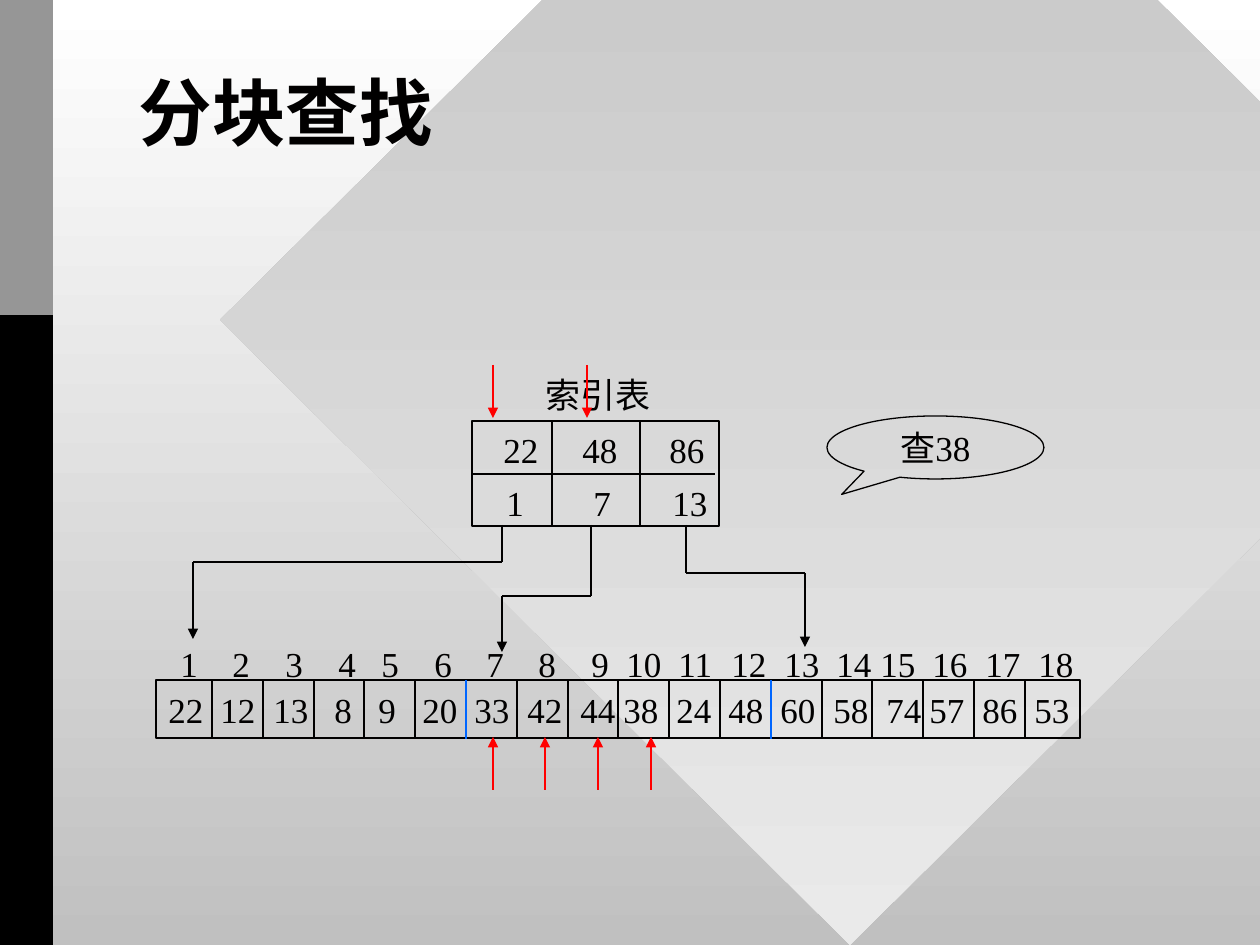
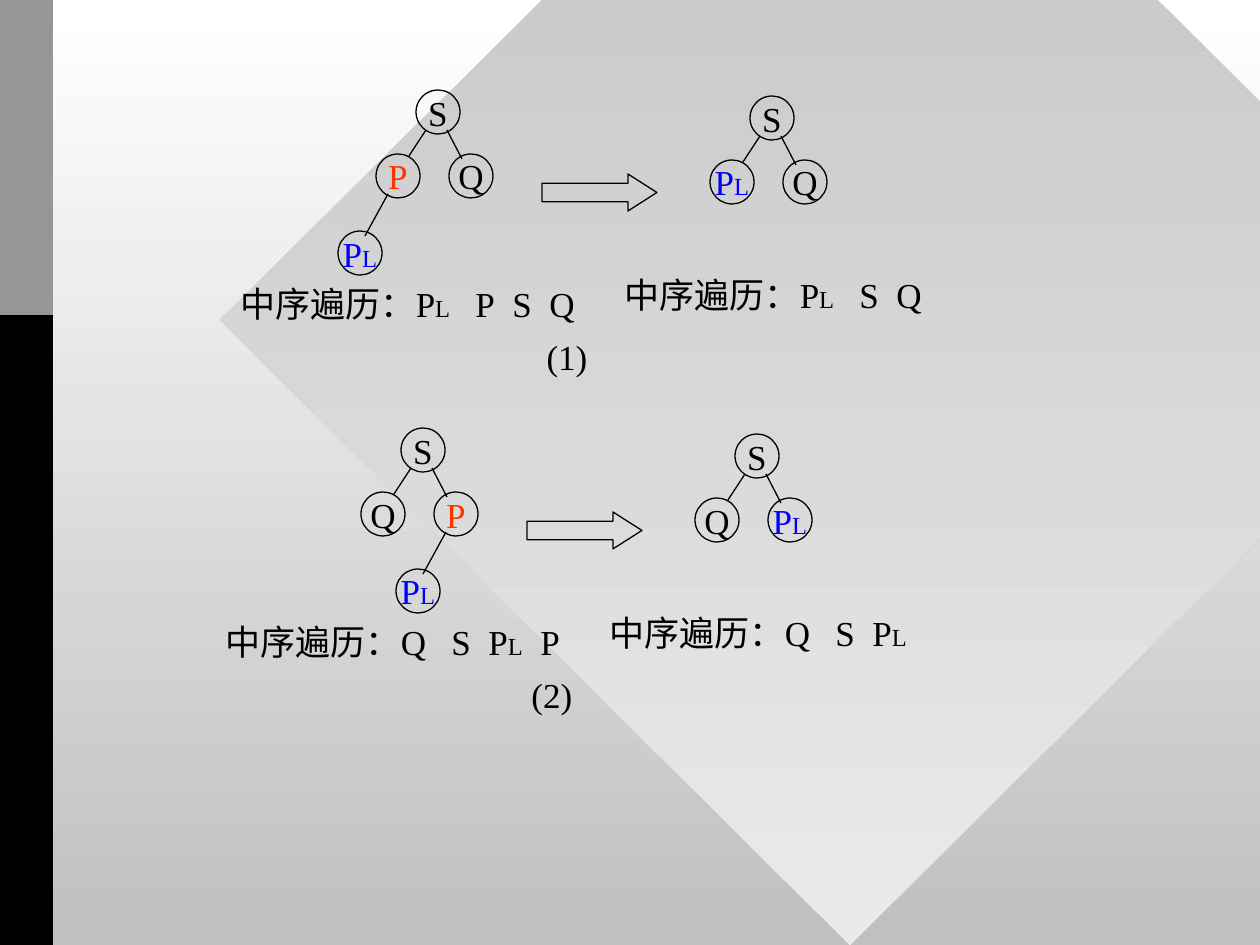
from dataclasses import dataclass
from itertools import accumulate, groupby, pairwise

from lxml.etree import SubElement
from pptx import Presentation
from pptx.dml.color import RGBColor
from pptx.enum.shapes import MSO_CONNECTOR, MSO_SHAPE
from pptx.enum.text import MSO_ANCHOR, PP_ALIGN
from pptx.oxml.ns import qn
from pptx.util import Emu, Pt


@dataclass(frozen=True)
class Theme:
    """Colours, fonts and type sizes of the deck."""
    ink: str = "010000"
    black: str = "000000"
    white: str = "FFFFFF"
    grey: str = "969696"
    silver: str = "C0C0C0"
    pale: str = "EAEAEA"
    red: str = "FF0000"
    orange: str = "FF3300"
    blue: str = "0000FF"
    block_edge: str = "0066FF"
    title_font: str = "Lato"
    body_font: str = "Times New Roman"
    title_size: int = 42
    body_size: int = 20
    small_size: int = 14
    line: float = 0.75


T = Theme()
NODE = 44
NODE_COLORS = {"P": T.orange, "PL": T.blue}
ADVANCE = {"S": 37, "P": 37, "Q": 43, "PL": 52}


def px(n):
    """Turn pixels into EMU."""
    return Emu(round(n * 914400 / 126))


def rgb(value):
    """Turn a hex string into a colour."""
    return RGBColor.from_string(value)


def write(sp, text, size=T.body_size, font=T.body_font, color=T.ink, bold=False,
          align=PP_ALIGN.LEFT, anchor=MSO_ANCHOR.TOP, spacing=None, tabs=()):
    """Fill a shape with one paragraph, setting each letter L small."""
    tf = sp.text_frame
    tf.word_wrap = bool(tabs)
    tf.vertical_anchor = anchor
    if tabs:
        tf.margin_right = 0
    p = tf.paragraphs[0]
    p.alignment = align
    if spacing:
        p.line_spacing = spacing
    if tabs:
        tab_list = SubElement(p._p.get_or_add_pPr(), qn("a:tabLst"))
        for stop in tabs:
            SubElement(tab_list, qn("a:tab"), pos=str(px(stop)), algn="l")
    for small, letters in groupby(text, lambda c: c == "L"):
        r = p.add_run()
        r.text = "".join(letters)
        r.font.size = Pt(T.small_size if small else size)
        r.font.name = font
        r.font.bold = bold
        r.font.color.rgb = rgb(color)


def add_text(s, x, y, w, h, text, **fmt):
    """Add a text box."""
    write(s.shapes.add_textbox(px(x), px(y), px(w), px(h)), text, **fmt)


def add_shape(s, kind, x, y, w, h, adjust=()):
    """Add an outlined shape without fill."""
    sp = s.shapes.add_shape(kind, px(x), px(y), px(w), px(h))
    sp.shadow.inherit = False
    sp.fill.background()
    sp.line.color.rgb = rgb(T.ink)
    sp.line.width = Pt(T.line)
    for i, value in enumerate(adjust):
        sp.adjustments[i] = value
    return sp


def add_line(s, x1, y1, x2, y2, color=T.ink, arrow=False):
    """Add a straight line or arrow."""
    c = s.shapes.add_connector(MSO_CONNECTOR.STRAIGHT, px(x1), px(y1), px(x2), px(y2))
    c.line.color.rgb = rgb(color)
    c.line.width = Pt(T.line)
    if arrow:
        SubElement(c.line._get_or_add_ln(), qn("a:tailEnd"), type="triangle")
    SubElement(c._element.spPr, qn("a:effectLst"))


def fade(fill, top, bottom):
    """Apply a vertical gradient."""
    fill.gradient()
    fill.gradient_angle = 270
    for stop, color in zip(fill.gradient_stops, (top, bottom)):
        stop.color.rgb = rgb(color)


def decorate_master(master, s):
    """Put the background, diamond and side bands on the master."""
    fade(master.background.fill, T.white, T.silver)
    diamond = add_shape(s, MSO_SHAPE.DIAMOND, 220, -305, 1260, 1250)
    fade(diamond.fill, T.silver, T.pale)
    bands = [diamond]
    for height, color in ((945, T.black), (315, T.grey)):
        band = add_shape(s, MSO_SHAPE.RECTANGLE, 0, 0, 53, height)
        band.fill.solid()
        band.fill.fore_color.rgb = rgb(color)
        bands.append(band)
    for i, sp in enumerate(bands):
        sp.line.fill.background()
        master.shapes.element.insert(2 + i, sp.element)


def set_title(s, text):
    """Move and format the title placeholder."""
    title = s.shapes.title
    title.left, title.top, title.width, title.height = map(px, (126, 84, 1008, 158))
    write(title, text, size=T.title_size, font=T.title_font, bold=True,
          anchor=MSO_ANCHOR.MIDDLE, spacing=0.85)
    title.text_frame.word_wrap = True
    title.text_frame.margin_bottom = px(96)


def tabbed(groups, step=52.5):
    """Join groups of numbers with tabs and return the text and its stops."""
    words, stops = [], []
    for start, numbers in groups:
        for i, number in enumerate(numbers):
            words.append(str(number))
            stops.append(round(start + i * step))
    return "\t".join(words), stops[1:]


def draw_index(s, x, y):
    """Draw the index table with its heading."""
    w, h = 247, 105
    add_shape(s, MSO_SHAPE.RECTANGLE, x, y, w, h)
    add_line(s, x, y + 53, x + 243, y + 53)
    for dx in (80, 168):
        add_line(s, x + dx, y, x + dx, y + h)
    add_text(s, x + 61, y - 54, 130, 55, "索引表")
    add_text(s, x + 19, y + 1, 227, 55, "22\t48\t86", tabs=(79, 166))
    add_text(s, x + 22, y + 54, 227, 55, "1\t7\t13", tabs=(87, 166))


def draw_blocks(s, x, y):
    """Draw the array cells with numbers above them."""
    positions, stops = tabbed([(0, range(1, 5)), (201, range(5, 10)),
                               (446, range(10, 15)), (700, range(15, 19))])
    add_text(s, x + 12, y - 44, 920, 55, positions, tabs=stops)
    values, stops = tabbed([(0, (22, 12, 13)), (166, (8,)), (210, (9,)),
                            (254, (20, 33, 42, 44)), (455, (38, 24, 48, 60, 58, 74)),
                            (761, (57, 86, 53))])
    row = add_shape(s, MSO_SHAPE.RECTANGLE, x, y, 924, 58)
    write(row, values, anchor=MSO_ANCHOR.MIDDLE, tabs=stops)
    for i in range(17):
        edge = x + 56 + round(50.8 * i)
        add_line(s, edge, y, edge, y + 59, T.block_edge if i in (5, 11) else T.ink)


def draw_pointers(s, y):
    """Draw the bent arrows from the index to each block."""
    for start, bend, end, tip in ((502, 37, 193, 114), (591, 71, 502, 127),
                                  (686, 48, 805, 122)):
        route = [(start, y), (start, y + bend), (end, y + bend), (end, y + tip)]
        for i, (a, b) in enumerate(pairwise(route)):
            add_line(s, *a, *b, arrow=i == 2)


def draw_search_steps(s, x):
    """Draw the red arrows that mark each comparison."""
    for dx in (0, 94):
        add_line(s, x + dx, 365, x + dx, 418, T.red, arrow=True)
    for i in range(4):
        at = x + round(52.5 * i)
        add_line(s, at, 790, at, 737, T.red, arrow=True)


def draw_node(s, x, y, name):
    """Draw one tree node."""
    node = add_shape(s, MSO_SHAPE.OVAL, x, y, NODE, NODE)
    write(node, name, color=NODE_COLORS.get(name, T.ink),
          align=PP_ALIGN.CENTER, anchor=MSO_ANCHOR.MIDDLE)


def draw_tree(s, x, y, left, right, with_child=False):
    """Draw a tree with root S, and the child of P if asked."""
    draw_node(s, x, y, "S")
    for name, dx in ((left, -40), (right, 33)):
        draw_node(s, x + dx, y + 64, name)
        if with_child and name == "P":
            draw_node(s, x + dx - 38, y + 141, "PL")
            add_line(s, x + dx + 12, y + 104, x + dx - 11, y + 146)
    add_line(s, x + 10, y + 40, x - 7, y + 66)
    add_line(s, x + 31, y + 40, x + 46, y + 69)


def draw_order(s, x, y, w, names):
    """Write the in-order traversal."""
    stops = list(accumulate((ADVANCE[n] for n in names[:-1]), initial=183))[1:]
    add_text(s, x, y, w, 55, "中序遍历：" + "\t".join(names),
             anchor=MSO_ANCHOR.MIDDLE, tabs=stops)


def draw_case(s, x, y, caption, before, after, order_before, order_after):
    """Draw one deletion case: tree before, arrow and tree after."""
    draw_tree(s, x, y, *before, with_child=True)
    draw_order(s, x - 188, y + 186, 360, order_before)
    draw_tree(s, x + 334, y + 6, *after)
    draw_order(s, x + 196, y + 177, 322, order_after)
    add_shape(s, MSO_SHAPE.RIGHT_ARROW, x + 126, y + 84, 115, 37, (0.5, 0.783))
    add_text(s, x + 118, y + 239, 66, 55, caption,
             align=PP_ALIGN.CENTER, anchor=MSO_ANCHOR.MIDDLE)


def build_search_slide(s):
    """Build the block search slide."""
    set_title(s, "分块查找")
    draw_blocks(s, 156, 680)
    draw_index(s, 472, 421)
    draw_pointers(s, 525)
    callout = add_shape(s, MSO_SHAPE.OVAL_CALLOUT, 827, 416, 217, 63, (-0.432, 0.745))
    write(callout, "查38", align=PP_ALIGN.CENTER, anchor=MSO_ANCHOR.MIDDLE)
    draw_search_steps(s, 493)


def build_tree_slide(s):
    """Build the tree deletion slide."""
    draw_case(s, 401, 428, "(2)", ("Q", "P"), ("Q", "PL"),
              ("Q", "S", "PL", "P"), ("Q", "S", "PL"))
    draw_case(s, 416, 90, "(1)", ("P", "Q"), ("PL", "Q"),
              ("PL", "P", "S", "Q"), ("PL", "S", "Q"))


def main():
    """Build and save the deck."""
    prs = Presentation()
    prs.slide_width, prs.slide_height = px(1260), px(945)
    search = prs.slides.add_slide(prs.slide_layouts[5])
    decorate_master(prs.slide_master, search)
    build_search_slide(search)
    build_tree_slide(prs.slides.add_slide(prs.slide_layouts[6]))
    prs.save("out.pptx")


if __name__ == "__main__":
    main()
